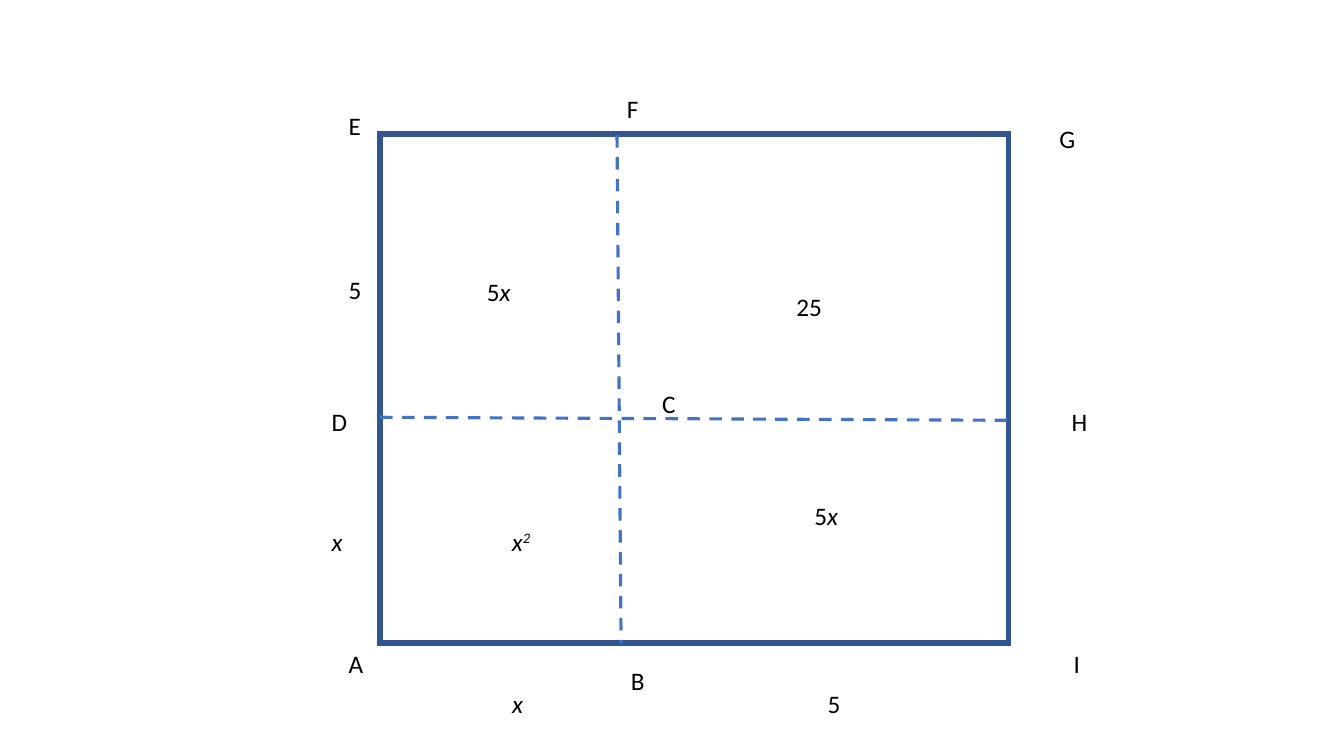
"""Build a slide with the area model of (x + 5) squared."""
from pptx import Presentation
from pptx.dml.color import RGBColor
from pptx.enum.dml import MSO_LINE
from pptx.enum.shapes import MSO_CONNECTOR, MSO_SHAPE
from pptx.enum.text import MSO_AUTO_SIZE
from pptx.util import Emu, Pt
from lxml.etree import SubElement
from pptx.oxml.ns import qn


def px(length):
    """Turn px, at 100 to the inch, into EMU."""
    return Emu(length * 9144)


def color(hex_string):
    """Turn a hex string into a colour."""
    return RGBColor.from_string(hex_string)


presentation = Presentation()
presentation.slide_width = px(1333)
presentation.slide_height = px(750)
slide = presentation.slides.add_slide(presentation.slide_layouts[6])

LEFT, TOP, RIGHT, BOTTOM = 377, 133, 1000, 638
square = slide.shapes.add_shape(
    MSO_SHAPE.RECTANGLE, px(LEFT), px(TOP), px(RIGHT - LEFT), px(BOTTOM - TOP))
square.shadow.inherit = False
square.fill.background()
square.line.color.rgb = color("325491")
square.line.width = Pt(3.75)
SubElement(square.line._get_or_add_ln(), qn("a:miter"), lim="800000")

dividers = [
    (612, 134, 616, BOTTOM),
    (LEFT, 414, RIGHT, 417),
]
for ends in dividers:
    divider = slide.shapes.add_connector(MSO_CONNECTOR.STRAIGHT, *map(px, ends))
    divider.line.color.rgb = color("4472C4")
    divider.line.width = Pt(2.25)
    divider.line.dash_style = MSO_LINE.DASH
    SubElement(divider._element.spPr, qn("a:effectLst"))

LABEL_HEIGHT = 40
labels = [
    ("A", 336, 638, 35),
    ("B", 616, 655, 34),
    ("C", 647, 380, 34),
    ("D", 319, 398, 36),
    ("E", 336, 105, 32),
    ("F", 612, 88, 32),
    ("G", 1041, 117, 36),
    ("H", 1053, 398, 36),
    ("I", 1055, 638, 27),
    ("5", 336, 267, 33),
    ("5x", 473, 269, 44),
    ("25", 780, 284, 46),
    ("x2", 498, 517, 40),
    ("5x", 798, 491, 44),
    ("x", 319, 517, 31),
    ("x", 498, 678, 31),
    ("5", 811, 678, 33),
]
for text, left, top, width in labels:
    label = slide.shapes.add_textbox(px(left), px(top), px(width), px(LABEL_HEIGHT))
    frame = label.text_frame
    frame.word_wrap = False
    frame.auto_size = MSO_AUTO_SIZE.SHAPE_TO_FIT_TEXT
    paragraph = frame.paragraphs[0]
    paragraph.font.name = "Calibri"
    paragraph.font.size = Pt(18)
    paragraph.font.color.rgb = color("000000")
    for part in [text] if text.isdigit() else text:
        run = paragraph.add_run()
        run.text = part
        is_exponent = text == "x2" and part == "2"
        run.font.italic = part == "x" or is_exponent
        if is_exponent:
            run._r.get_or_add_rPr().set("baseline", "30000")

presentation.save("out.pptx")
